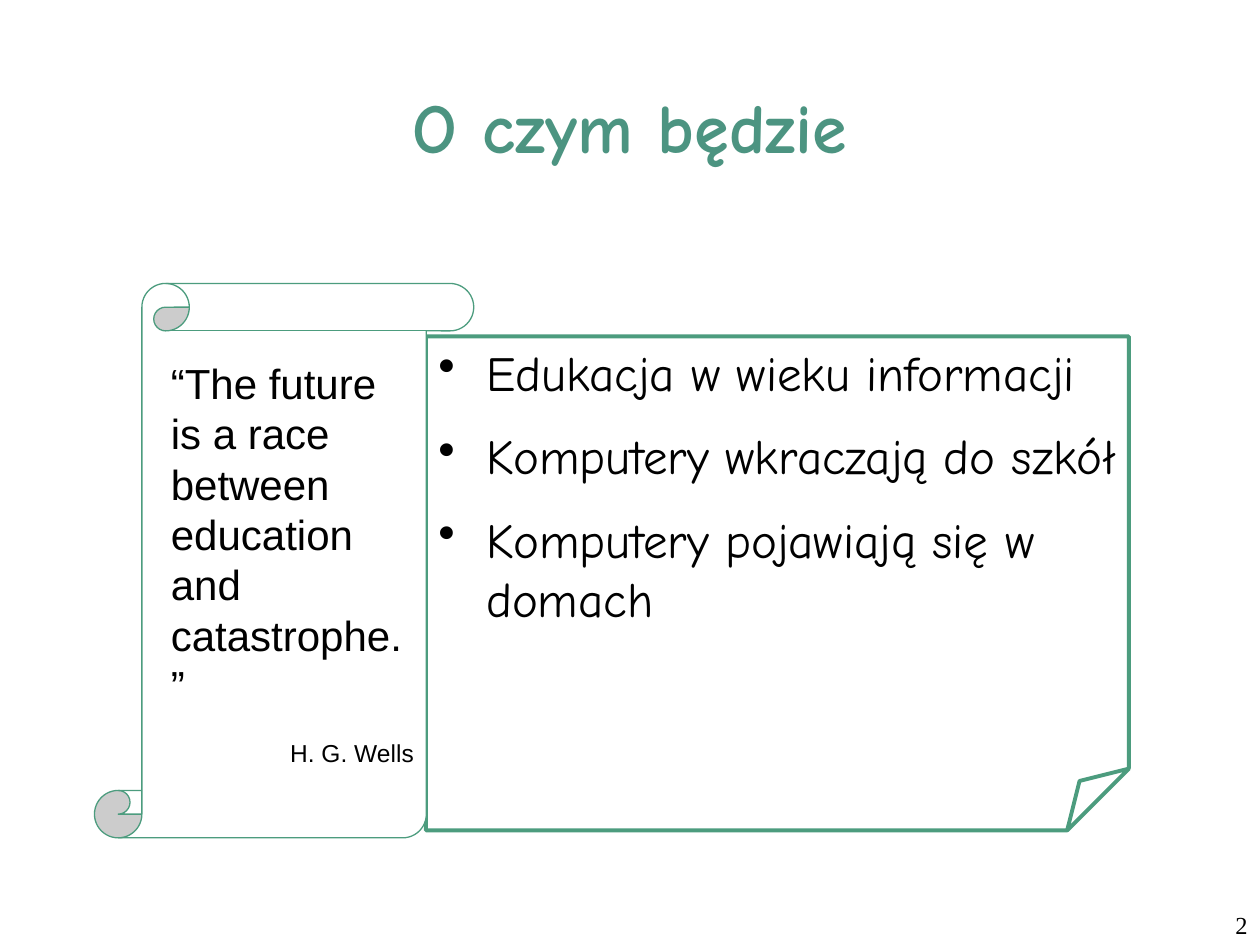
from dataclasses import dataclass

from lxml.etree import SubElement
from pptx import Presentation
from pptx.dml.color import RGBColor
from pptx.enum.shapes import MSO_SHAPE as Shape
from pptx.enum.text import MSO_ANCHOR as Anchor, PP_ALIGN as Align
from pptx.oxml.ns import qn
from pptx.util import Inches, Pt


@dataclass(frozen=True)
class Theme:
    title_color: RGBColor = RGBColor(0x4C, 0x94, 0x81)
    outline: RGBColor = RGBColor(0x4C, 0x9C, 0x7E)
    ink: RGBColor = RGBColor(0, 0, 0)
    paper: RGBColor = RGBColor(255, 255, 255)
    hand: str = "Comic Neue"
    sans: str = "Arial"
    serif: str = "Times New Roman"
    title_size: int = 40
    topic_size: int = 28
    quote_size: int = 24
    small_size: int = 14


class SlideBuilder:
    def __init__(self, page, theme):
        self.page = page
        self.theme = theme

    def text(self, place, words, font, size, color, align, bold=False):
        box = self.page.shapes.add_textbox(*map(Inches, place))
        box.text_frame.word_wrap = True
        box.text_frame.vertical_anchor = Anchor.MIDDLE if bold else Anchor.TOP
        self.paragraph(box, words, font, size, color, align, bold)

    def panel(self, kind, place, line_width, fill=None):
        """Add an outlined preset shape that holds top-anchored text."""
        box = self.page.shapes.add_shape(kind, *map(Inches, place))
        box.shadow.inherit = False
        self.set_fold(box, 0.125)
        if fill is None:
            box.fill.background()
        else:
            box.fill.solid()
            box.fill.fore_color.rgb = fill
        box.line.color.rgb = self.theme.outline
        box.line.width = Pt(line_width)
        box.text_frame.word_wrap = True
        box.text_frame.vertical_anchor = Anchor.TOP
        return box

    def set_fold(self, box, share):
        """Set the fold or roll size; the library lists no adjustment for folded corners."""
        geometry = box._element.spPr.find(qn("a:prstGeom"))
        for values in geometry.findall(qn("a:avLst")):
            geometry.remove(values)
        guide = SubElement(SubElement(geometry, qn("a:avLst")), qn("a:gd"))
        guide.set("name", "adj")
        guide.set("fmla", f"val {round(share * 100000)}")

    def paragraph(self, box, words, font, size, color, align=Align.LEFT, bold=False):
        """Fill the empty first paragraph of a box, or add one below."""
        frame = box.text_frame
        para = frame.add_paragraph() if frame.text else frame.paragraphs[0]
        para.text = words
        para.alignment = align
        para.font.name = font
        para.font.size = Pt(size)
        para.font.color.rgb = color
        para.font.bold = bold
        return para

    def topics(self, place, items):
        theme = self.theme
        box = self.panel(Shape.FOLDED_CORNER, place, 2.25)
        for number, item in enumerate(items):
            para = self.paragraph(box, item, theme.hand, theme.topic_size, theme.ink)
            para.space_before = Pt(7 if number else 0)
            para.space_after = Pt(7)
            self.bullet(para)

    def bullet(self, para):
        indent = Inches(0.38)
        props = para._p.get_or_add_pPr()
        props.set("marL", str(indent))
        props.set("indent", str(-indent))
        mark = SubElement(props, qn("a:buChar"))
        mark.set("char", "•")
        props.insert_element_before(mark, "a:tabLst", "a:defRPr", "a:extLst")

    def quote(self, place, words, author):
        theme = self.theme
        box = self.panel(Shape.VERTICAL_SCROLL, place, 0.75, theme.paper)
        box.text_frame.margin_left = Inches(0.23)
        box.text_frame.margin_top = Inches(0.21)
        self.paragraph(box, words, theme.sans, theme.quote_size, theme.ink)
        credit = self.paragraph(box, author, theme.sans, theme.small_size,
                                theme.ink, Align.RIGHT)
        credit.space_before = Pt(16)


def main():
    deck = Presentation()
    deck.slide_width, deck.slide_height = Inches(10), Inches(7.5)
    theme = Theme()
    builder = SlideBuilder(deck.slides.add_slide(deck.slide_layouts[6]), theme)

    builder.text((0.75, 0.33, 8.5, 1.33), "O czym będzie", theme.hand,
                 theme.title_size, theme.title_color, Align.CENTER, bold=True)
    builder.topics((3.38, 2.67, 5.58, 3.92), [
        "Edukacja w wieku informacji",
        "Komputery wkraczają do szkół",
        "Komputery pojawiają się w domach",
    ])
    builder.quote((0.75, 2.25, 3.01, 4.4),
                  "“The future is a race between education and catastrophe.”",
                  "H. G. Wells")
    builder.text((7.92, 7.17, 2.08, 0.33), "2", theme.serif,
                 theme.small_size, theme.ink, Align.RIGHT)
    deck.save("out.pptx")


if __name__ == "__main__":
    main()
